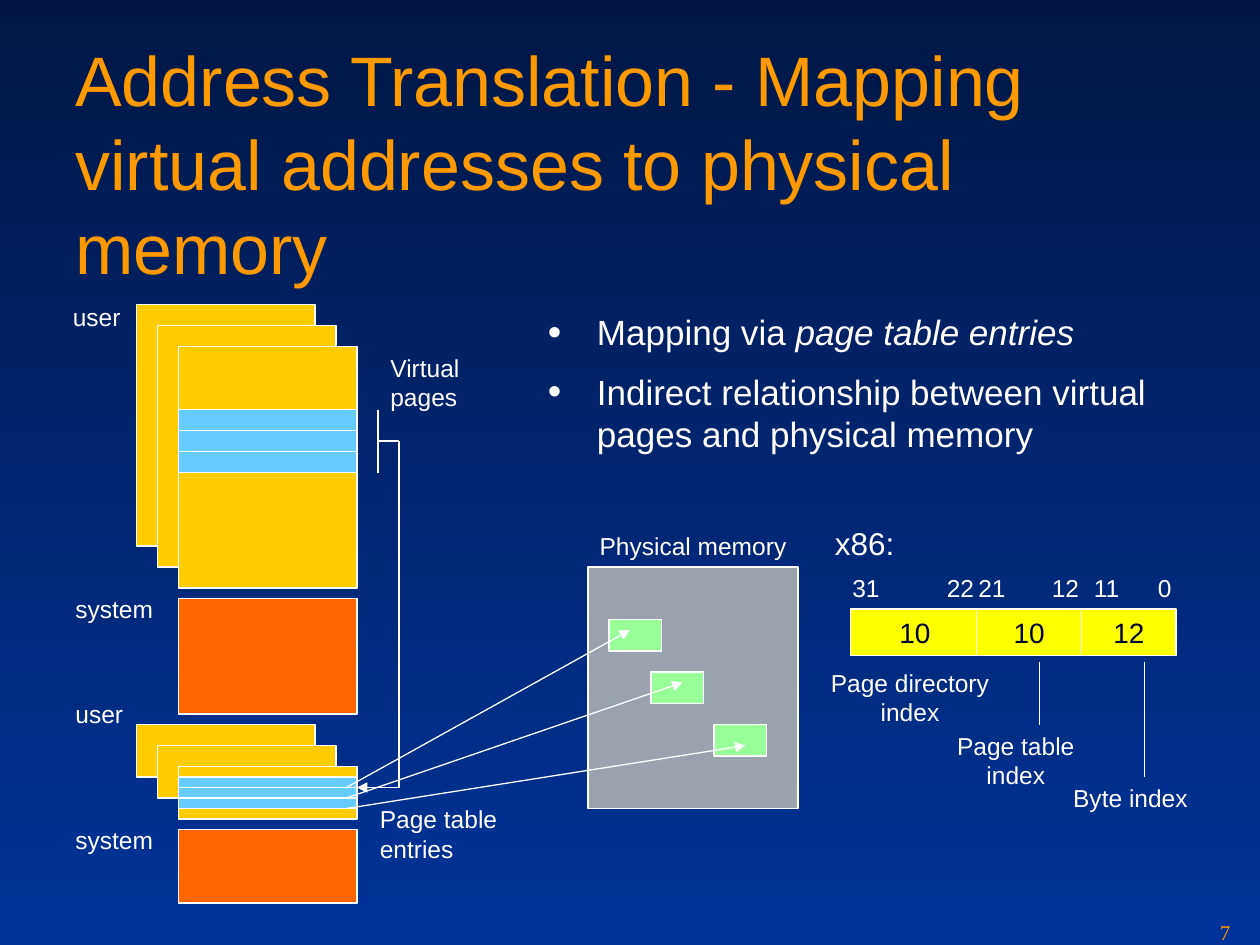
from copy import deepcopy
from dataclasses import dataclass

from lxml.etree import SubElement
from pptx import Presentation
from pptx.dml.color import RGBColor
from pptx.enum.shapes import MSO_CONNECTOR as Connector, MSO_SHAPE as Shape
from pptx.enum.text import MSO_ANCHOR as Anchor, MSO_AUTO_SIZE as AutoSize, PP_ALIGN as Align
from pptx.oxml.ns import qn
from pptx.util import Pt


@dataclass(frozen=True)
class Theme:
    top: str = "001746"
    bottom: str = "003399"
    accent: str = "FE9900"
    white: str = "FFFFFF"
    ink: str = "000033"
    user: str = "FFCC00"
    system: str = "FF6600"
    page: str = "66CCFF"
    memory: str = "9AA3AD"
    frame: str = "99FF99"
    field: str = "FFFF00"
    sans: str = "Arial"
    serif: str = "Times New Roman"
    title: float = 40
    body: float = 20
    heading: float = 18
    value: float = 16
    label: float = 14
    number: float = 12
    line: float = 0.75


THEME = Theme()


@dataclass(frozen=True)
class Box:
    left: float
    top: float
    width: float
    height: float


@dataclass(frozen=True)
class Label:
    text: str
    box: Box
    size: float = THEME.label
    align: Align = Align.LEFT


@dataclass(frozen=True)
class AddressSpace:
    user_top: float
    user_height: float
    pages_top: float
    page_height: float
    system_top: float
    system_height: float


@dataclass(frozen=True)
class Frame:
    left: float
    top: float
    arrow_dx: float
    arrow_dy: float


@dataclass(frozen=True)
class BitField:
    bits: str
    left: float
    width: float


def rgb(color: str) -> RGBColor:
    return RGBColor.from_string(color)


def add_bullet(paragraph, color: str) -> None:
    props = paragraph._p.get_or_add_pPr()
    props.set("marL", str(Pt(28)))
    props.set("indent", str(Pt(-28)))
    SubElement(SubElement(props, qn("a:buClr")), qn("a:srgbClr"), val=color)
    SubElement(props, qn("a:buSzPct"), val="110000")
    SubElement(props, qn("a:buFont"), typeface=THEME.sans)
    SubElement(props, qn("a:buChar"), char="•")


def write_text(frame, *paragraphs: str, size: float = THEME.label, color: str = THEME.white,
               font: str = THEME.sans, align: Align = Align.LEFT, wrap: bool = True,
               grow: bool = False, bullet: bool = False, italic: str = "") -> None:
    frame.word_wrap = wrap
    frame.auto_size = AutoSize.SHAPE_TO_FIT_TEXT if grow else AutoSize.NONE
    frame.vertical_anchor = Anchor.TOP
    for index, text in enumerate(paragraphs):
        paragraph = frame.paragraphs[0] if index == 0 else frame.add_paragraph()
        if bullet:
            add_bullet(paragraph, color)
            paragraph.space_before = Pt(5 if index else 0)
            paragraph.space_after = Pt(5)
        paragraph.alignment = align
        if italic and text.endswith(italic):
            paragraph.add_run().text = text.removesuffix(italic)
            slanted = paragraph.add_run()
            slanted.text, slanted.font.italic = italic, True
        else:
            paragraph.text = text
        for run in paragraph.runs:
            run.font.size, run.font.name = Pt(size), font
            run.font.color.rgb = rgb(color)
        # Line breaks take the size of the text around them
        for line_break in paragraph._p.findall(qn("a:br")):
            line_break.append(deepcopy(paragraph.runs[0]._r.rPr))


def add_text(slide, box: Box, *paragraphs: str, **text_format) -> None:
    textbox = slide.shapes.add_textbox(Pt(box.left), Pt(box.top), Pt(box.width), Pt(box.height))
    write_text(textbox.text_frame, *paragraphs, **text_format)


def add_block(slide, box: Box, fill: str):
    block = slide.shapes.add_shape(Shape.RECTANGLE, Pt(box.left), Pt(box.top),
                                   Pt(box.width), Pt(box.height))
    block.shadow.inherit = False
    block.fill.solid()
    block.fill.fore_color.rgb = rgb(fill)
    block.line.color.rgb = rgb(THEME.white)
    block.line.width = Pt(THEME.line)
    return block


def add_line(slide, x1: float, y1: float, x2: float, y2: float, arrow: bool = False) -> None:
    line = slide.shapes.add_connector(Connector.STRAIGHT, Pt(x1), Pt(y1), Pt(x2), Pt(y2))
    line.line.color.rgb = rgb(THEME.white)
    line.line.width = Pt(THEME.line)
    if arrow:
        SubElement(line.line._get_or_add_ln(), qn("a:tailEnd"), type="triangle")
    SubElement(line._element.spPr, qn("a:effectLst"))


def add_address_space(slide, space: AddressSpace) -> None:
    left, width, step = 78, 102, 12
    for layer in range(3):
        offset = layer * step
        add_block(slide, Box(left + offset, space.user_top + offset, width, space.user_height),
                  THEME.user)
    front = left + 2 * step
    for page in range(3):
        add_block(slide, Box(front, space.pages_top + page * space.page_height, width,
                             space.page_height), THEME.page)
    add_block(slide, Box(front, space.system_top, width, space.system_height), THEME.system)


SPACES = [AddressSpace(174, 138, 234, 12, 342, 66),
          AddressSpace(414, 30, 444, 6, 474, 42)]
FRAMES = [Frame(348, 354, 12, 6), Frame(372, 384, 18, 6), Frame(408, 414, 18, 12)]
BIT_FIELDS = [BitField("10", 486, 73.5), BitField("10", 558, 60), BitField("12", 618, 54)]
BIT_NUMBERS = [("31", 480), ("22", 534), ("21", 552), ("12", 594), ("11", 618), ("0", 654.5)]
LABELS = [
    Label("user", Box(34.5, 169, 43, 24.5)),
    Label("system", Box(36, 336, 60, 24.5)),
    Label("user", Box(36, 396, 43, 24.5)),
    Label("system", Box(36, 468, 60, 24.5)),
    Label("Virtual\npages", Box(216, 198, 55, 41)),
    Label("Page table\nentries", Box(210, 456, 83, 41)),
    Label("Physical memory", Box(335.5, 300, 123, 24.5)),
    Label("x86:", Box(470, 296, 50, 29), THEME.heading),
    Label("Page directory\nindex", Box(467, 378, 106, 41), align=Align.CENTER),
    Label("Page table\nindex", Box(539, 414, 83, 41), align=Align.CENTER),
    Label("Byte index", Box(605, 444, 82, 24.5), align=Align.CENTER),
] + [Label(bit, Box(left, 324, 23 if bit == "0" else 31, 24.5)) for bit, left in BIT_NUMBERS]


def main() -> None:
    deck = Presentation()
    deck.slide_width, deck.slide_height = Pt(720), Pt(540)
    slide = deck.slides.add_slide(deck.slide_layouts[6])

    # Background
    background = slide.background.fill
    background.gradient()
    background.gradient_angle = 270
    for stop, color, position in zip(background.gradient_stops, (THEME.top, THEME.bottom), (0, 1)):
        stop.color.rgb, stop.position = rgb(color), position

    # Title and bullets
    add_text(slide, Box(36, 17.5, 648, 90),
             "Address Translation - Mapping virtual addresses to physical memory",
             size=THEME.title, color=THEME.accent)
    add_text(slide, Box(306, 174, 384, 138), "Mapping via page table entries",
             "Indirect relationship between virtual pages and physical memory",
             size=THEME.body, bullet=True, italic="page table entries")

    # Virtual address spaces and physical memory
    for space in SPACES:
        add_address_space(slide, space)
    add_block(slide, Box(336, 324, 120, 138), THEME.memory)
    for frame in FRAMES:
        add_block(slide, Box(frame.left, frame.top, 30, 18), THEME.frame)

    # Bracket from the virtual pages to their table entries
    add_line(slide, 216, 234, 216, 270)
    add_line(slide, 216, 252, 228, 252)
    add_line(slide, 228, 252, 228, 450)
    add_line(slide, 228, 450, 204, 450, arrow=True)

    # Table entries to page frames
    for index, frame in enumerate(FRAMES):
        add_line(slide, 198, 450 + 6 * index, frame.left + frame.arrow_dx,
                 frame.top + frame.arrow_dy, arrow=True)

    # x86 address fields
    for field in BIT_FIELDS:
        cell = add_block(slide, Box(field.left, 348, field.width, 26.5), THEME.field)
        write_text(cell.text_frame, field.bits, size=THEME.value, color=THEME.ink,
                   align=Align.CENTER, grow=True)
    add_line(slide, 594, 378, 594, 414)
    add_line(slide, 654, 378, 654, 444)

    # Labels: centred ones use a paragraph per line
    for label in LABELS:
        lines = label.text.split("\n") if label.align == Align.CENTER else [label.text]
        add_text(slide, label.box, *lines, size=label.size, align=label.align,
                 wrap=False, grow=True)

    # Slide number
    add_text(slide, Box(690, 522, 30, 18), "7", size=THEME.number, color=THEME.accent,
             font=THEME.serif)
    deck.save("out.pptx")


if __name__ == "__main__":
    main()
